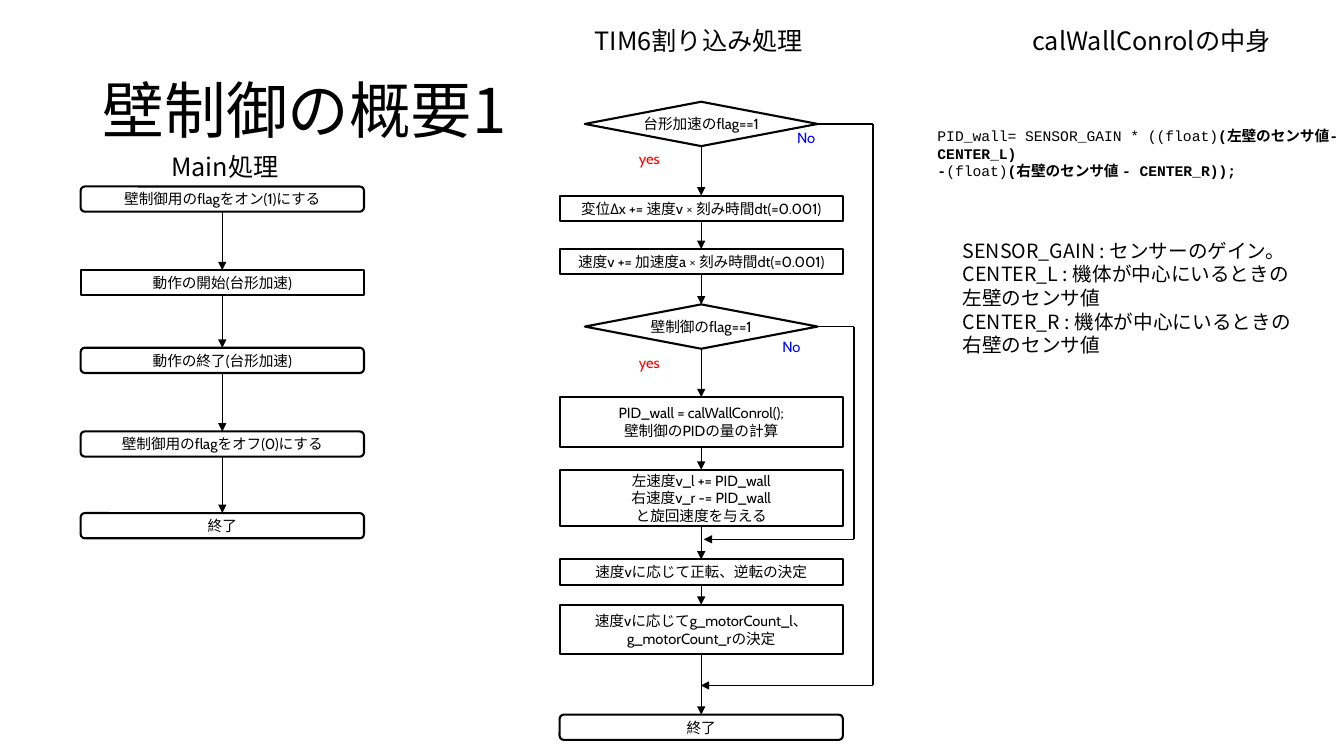
from dataclasses import dataclass

import pptx
import pptx.dml.color
import pptx.enum.shapes
import pptx.enum.text
import pptx.oxml.ns
import pptx.util
from lxml import etree

RGBColor = pptx.dml.color.RGBColor
Shape = pptx.enum.shapes.MSO_SHAPE
Align = pptx.enum.text.PP_ALIGN
Anchor = pptx.enum.text.MSO_ANCHOR
AutoSize = pptx.enum.text.MSO_AUTO_SIZE
qn = pptx.oxml.ns.qn

BLACK = RGBColor(0, 0, 0)
RED = RGBColor(0xFF, 0, 0)
BLUE = RGBColor(0, 0, 0xFF)
SANS, BODY, MONO = "Noto Sans CJK JP", "Cabin", "Courier New"
PX = 9144  # 100 px to the inch
TOP, BOTTOM = 0, 2
BOX_W, DIAMOND_W = 281, 231


@dataclass
class Step:
    text: str
    y: int
    h: int = 25
    kind: Shape = Shape.FLOWCHART_PROCESS
    w: int = BOX_W


@dataclass
class Label:
    text: str
    x: int
    y: int
    w: int
    h: int
    color: RGBColor


@dataclass
class Note:
    lines: list
    x: int
    y: int
    w: int
    h: int
    size: float = 18
    font: str = SANS


@dataclass
class Bypass:
    y: int
    right: int
    merge_y: int
    merge_x: int


MAIN_X, TIMER_X = 80, 555
MAIN_STEPS = [
    Step("壁制御用のflagをオン(1)にする", 185, kind=Shape.FLOWCHART_ALTERNATE_PROCESS),
    Step("動作の開始(台形加速)", 268),
    Step("動作の終了(台形加速)", 345, kind=Shape.ROUNDED_RECTANGLE),
    Step("壁制御用のflagをオフ(0)にする", 428, kind=Shape.FLOWCHART_ALTERNATE_PROCESS),
    Step("終了", 509, kind=Shape.ROUNDED_RECTANGLE),
]
TIMER_STEPS = [
    Step("台形加速のflag==1", 101, 44, Shape.FLOWCHART_DECISION, DIAMOND_W),
    Step("変位Δx += 速度v × 刻み時間dt(=0.001)", 194),
    Step("速度v += 加速度a × 刻み時間dt(=0.001)", 247),
    Step("壁制御のflag==1", 302, 44, Shape.FLOWCHART_DECISION, DIAMOND_W),
    Step("PID_wall = calWallConrol();\n壁制御のPIDの量の計算", 394, 49),
    Step("左速度v_l += PID_wall\n右速度v_r -= PID_wall\nと旋回速度を与える", 466, 56),
    Step("速度vに応じて正転、逆転の決定", 555),
    Step("速度vに応じてg_motorCount_l、\ng_motorCount_rの決定", 600, 49),
    Step("終了", 709, kind=Shape.ROUNDED_RECTANGLE),
]
LABELS = [
    Label("No", 772, 125, 55, 24, BLUE),
    Label("yes", 625, 146, 38, 23, RED),
    Label("No", 755, 330, 60, 27, BLUE),
    Label("yes", 625, 348, 38, 23, RED),
]
BYPASSES = [Bypass(123, 866, 680, 695), Bypass(324, 847, 535, 698)]
# Each line is a list of (text, bold) runs
NOTES = [
    Note([[("TIM6割り込み処理", False)]], 580, 20, 240, 40),
    Note([[("Main処理", False)]], 160, 145, 161, 40),
    Note([[("calWallConrolの中身", False)]], 1014, 20, 269, 40),
    Note([
        [("PID_wall= SENSOR_GAIN * ((float)", False), ("(左壁のセンサ値- CENTER_L)", True)],
        [("-", True), ("(float)", False), ("(右壁のセンサ値 - CENTER_R));", True)],
    ], 920, 121, 423, 63, 10.5, MONO),
    Note([[(line, False)] for line in (
        "SENSOR_GAIN : センサーのゲイン。",
        "CENTER_L : 機体が中心にいるときの",
        "左壁のセンサ値",
        "CENTER_R : 機体が中心にいるときの",
        "右壁のセンサ値",
    )], 945, 232, 372, 151, 14),
]


def px(*values: int) -> list:
    return [pptx.util.Emu(v * PX) for v in values]


def add_run(p, text: str, size: float, font: str, color=BLACK, bold=False) -> None:
    r = p.add_run()
    r.text = text
    values = {"size": pptx.util.Pt(size), "name": font, "bold": bold}
    for name, value in values.items():
        setattr(r.font, name, value)
    r.font.color.rgb = color
    ea = etree.Element(qn("a:ea"), typeface=SANS)
    r.font._element.find(qn("a:latin")).addnext(ea)


def add_box(s, text: str, kind: Shape, box: list, color=BLACK, outlined=True):
    sp = s.shapes.add_shape(kind, *box)
    sp.shadow.inherit = False
    sp.fill.background()
    if outlined:
        sp.line.color.rgb = BLACK
        sp.line.width = pptx.util.Pt(1.5)
    else:
        sp.line.fill.background()
    tf = sp.text_frame
    tf.word_wrap = False
    tf.vertical_anchor = Anchor.MIDDLE
    for i, line in enumerate(text.split("\n")):
        p = tf.add_paragraph() if i else tf.paragraphs[0]
        p.alignment = Align.CENTER
        add_run(p, line, 10.5, BODY, color)
    return sp


def add_line(s, start: tuple, end: tuple, arrow=False):
    line = s.shapes.add_connector(
        pptx.enum.shapes.MSO_CONNECTOR.STRAIGHT, *px(*start, *end))
    line.line.color.rgb = BLACK
    line.line.width = pptx.util.Pt(1)
    if arrow:
        etree.SubElement(line.line._get_or_add_ln(), qn("a:tailEnd"), type="triangle")
    etree.SubElement(line._element.spPr, qn("a:effectLst"))
    return line


def add_flow(s, x: int, steps: list) -> list:
    boxes = []
    for step in steps:
        left = x + (BOX_W - step.w) // 2
        boxes.append(add_box(s, step.text, step.kind, px(left, step.y, step.w, step.h)))
    for upper, lower in zip(boxes, boxes[1:]):
        arrow = add_line(s, (0, 0), (0, 0), arrow=True)
        arrow.begin_connect(upper, BOTTOM)
        arrow.end_connect(lower, TOP)
    return boxes


def add_note(s, note: Note) -> None:
    tf = s.shapes.add_textbox(*px(note.x, note.y, note.w, note.h)).text_frame
    tf.word_wrap = True
    tf.auto_size = AutoSize.SHAPE_TO_FIT_TEXT
    for i, runs in enumerate(note.lines):
        p = tf.add_paragraph() if i else tf.paragraphs[0]
        for text, bold in runs:
            add_run(p, text, note.size, note.font, bold=bold)


def main() -> None:
    prs = pptx.Presentation()
    prs.slide_width, prs.slide_height = px(1333, 750)
    s = prs.slides.add_slide(prs.slide_layouts[5])

    # Title
    title = s.shapes.title
    for name, value in zip(("left", "top", "width", "height"), px(92, 40, 1150, 145)):
        setattr(title, name, value)
    tf = title.text_frame
    tf.auto_size = AutoSize.NONE
    tf.vertical_anchor = Anchor.MIDDLE
    p = tf.paragraphs[0]
    p.alignment = Align.LEFT
    p.line_spacing = 0.9
    add_run(p, "壁制御の概要1", 44, SANS)

    # Branch labels and the two flows
    for label in LABELS:
        add_box(s, label.text, Shape.FLOWCHART_PROCESS,
                px(label.x, label.y, label.w, label.h), label.color, outlined=False)
    add_flow(s, MAIN_X, MAIN_STEPS)
    add_flow(s, TIMER_X, TIMER_STEPS)

    # "No" branches back to the centre line
    for b in BYPASSES:
        corners = [(811, b.y), (b.right, b.y), (b.right, b.merge_y), (b.merge_x, b.merge_y)]
        for i, (start, end) in enumerate(zip(corners, corners[1:])):
            add_line(s, start, end, arrow=i == 2)

    # Headings, formula and its legend
    for note in NOTES:
        add_note(s, note)

    prs.save("out.pptx")


if __name__ == "__main__":
    main()
